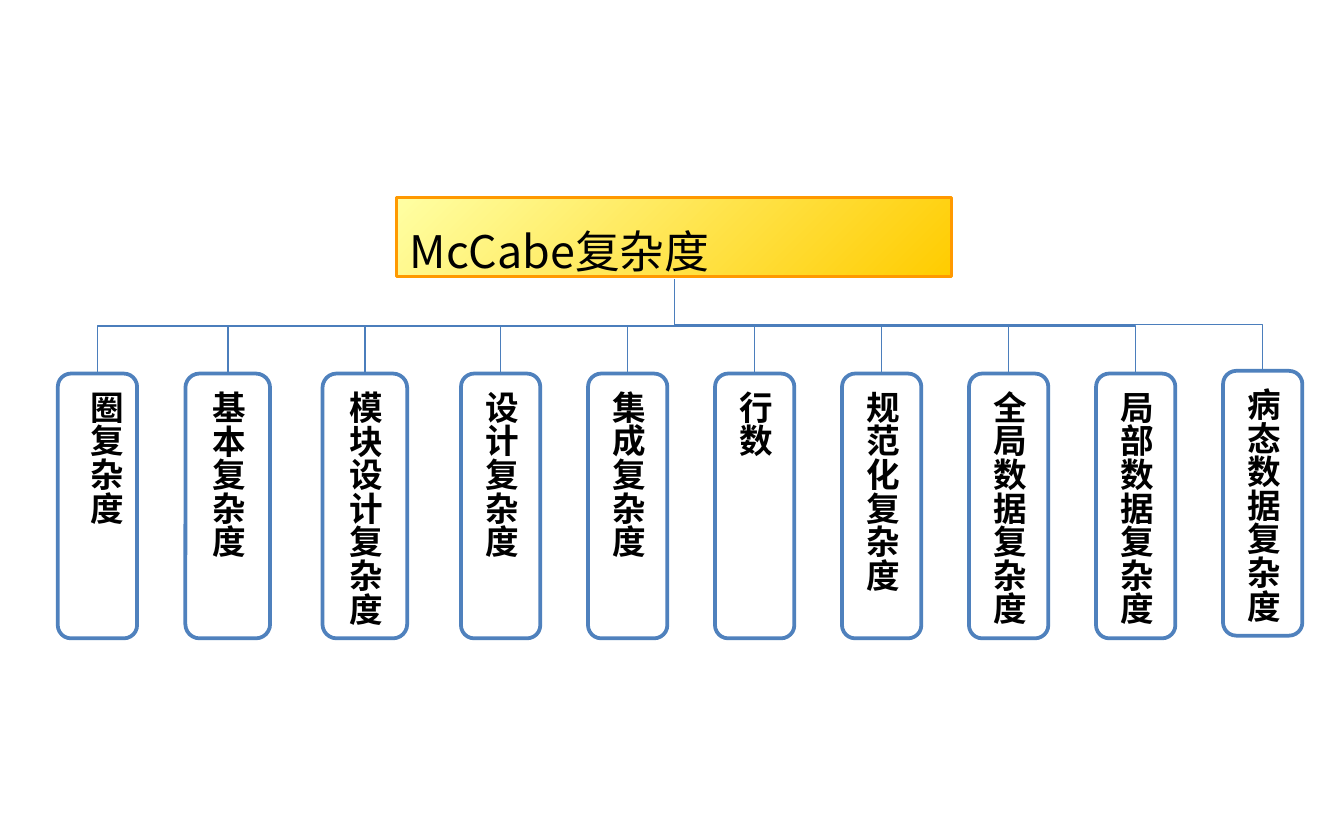
from lxml import etree
from pptx import Presentation
from pptx.dml.color import RGBColor
from pptx.enum.shapes import MSO_CONNECTOR, MSO_SHAPE
from pptx.enum.text import MSO_ANCHOR, PP_ALIGN
from pptx.oxml.ns import qn
from pptx.util import Inches, Pt

ELBOW = MSO_CONNECTOR.ELBOW
RECT, ROUND = MSO_SHAPE.RECTANGLE, MSO_SHAPE.ROUNDED_RECTANGLE
TOP, MID = MSO_ANCHOR.TOP, MSO_ANCHOR.MIDDLE
CENTER, JUSTIFY = PP_ALIGN.CENTER, PP_ALIGN.JUSTIFY

WIDE, HIGH = 10, 6.25
HEAD = "McCabe复杂度"
WORDS = [
    "圈复杂度", "基本复杂度", "模块设计复杂度", "设计复杂度", "集成复杂度",
    "行数", "规范化复杂度", "全局数据复杂度", "局部数据复杂度", "病态数据复杂度",
]
CJK = "Noto Sans CJK SC"
FIRST, LAST = 3.43, 9.1
STEP = (LAST - FIRST) / 6
LEFTS = [0.43, 1.38, 2.4] + [FIRST + STEP * i for i in range(7)]
WIDTHS = [0.59, 0.63, 0.63] + [0.59] * 7
TOPS = [2.78] * 9 + [2.76]
TALL = 1.97
ROOT_X, ROOT_Y = 5.02, 2.08


def color(text):
    return RGBColor.from_string(text)


def add_box(kind, place, text, edge, width, anchor, align, size, font, bold):
    box = slide.shapes.add_shape(kind, *map(Inches, place))
    box.shadow.inherit = False
    box.line.color.rgb = color(edge)
    box.line.width = Pt(width)
    frame = box.text_frame
    frame.vertical_anchor = anchor
    frame.text = text
    para = frame.paragraphs[0]
    para.alignment = align
    para.font.size = Pt(size)
    para.font.bold = bold
    para.font.name = font
    para.font.color.rgb = color("000000")
    style = para._p.pPr.find(qn("a:defRPr"))
    etree.SubElement(style, qn("a:ea"), typeface=CJK)
    return box


def add_link(x, y):
    mid_x, mid_y = (ROOT_X + x) / 2, (ROOT_Y + y) / 2
    half, rise = (y - ROOT_Y) / 2, abs(x - ROOT_X) / 2
    right = x > ROOT_X
    if right:
        half = -half
    link = slide.shapes.add_connector(
        ELBOW, *map(Inches, (mid_x - half, mid_y - rise, mid_x + half, mid_y + rise)))
    props = link._element.spPr
    props.find(qn("a:xfrm")).set("rot", str((270 if right else 90) * 60000))
    link.line.color.rgb = color("4B7EBC")
    link.line.width = Pt(0.75)
    etree.SubElement(props, qn("a:effectLst"))


deck = Presentation()
deck.slide_width, deck.slide_height = Inches(WIDE), Inches(HIGH)
slide = deck.slides.add_slide(deck.slide_layouts[6])

root = add_box(RECT, (2.95, 1.47, 4.13, 0.59), HEAD, "FF9900", 1.5,
               MID, JUSTIFY, 24, CJK, False)
root.fill.gradient()
root.fill.gradient_angle = 315
for stop, (place, tint) in zip(root.fill.gradient_stops, [(0, "FFFFA3"), (1, "FFCC00")]):
    stop.position = place
    stop.color.rgb = color(tint)
root.text_frame.word_wrap = True
para = root.text_frame.paragraphs[0]
para.line_spacing = 1.5
indent = para._p.pPr
indent.set("marL", str(Inches(0.29)))
indent.set("indent", str(-Inches(0.29)))

for i, (word, left, width, top) in enumerate(zip(WORDS, LEFTS, WIDTHS, TOPS)):
    box = add_box(ROUND, (left, top, width, TALL), word, "4F81BD", 2,
                  MID if i else TOP, CENTER, 18, "Calibri", True)
    box.fill.solid()
    box.fill.fore_color.rgb = color("FFFFFF")
    box.text_frame.word_wrap = False
    box.text_frame._txBody.bodyPr.set("vert", "eaVert")
    add_link(left + width / 2, top - 0.01)

deck.save("out.pptx")
